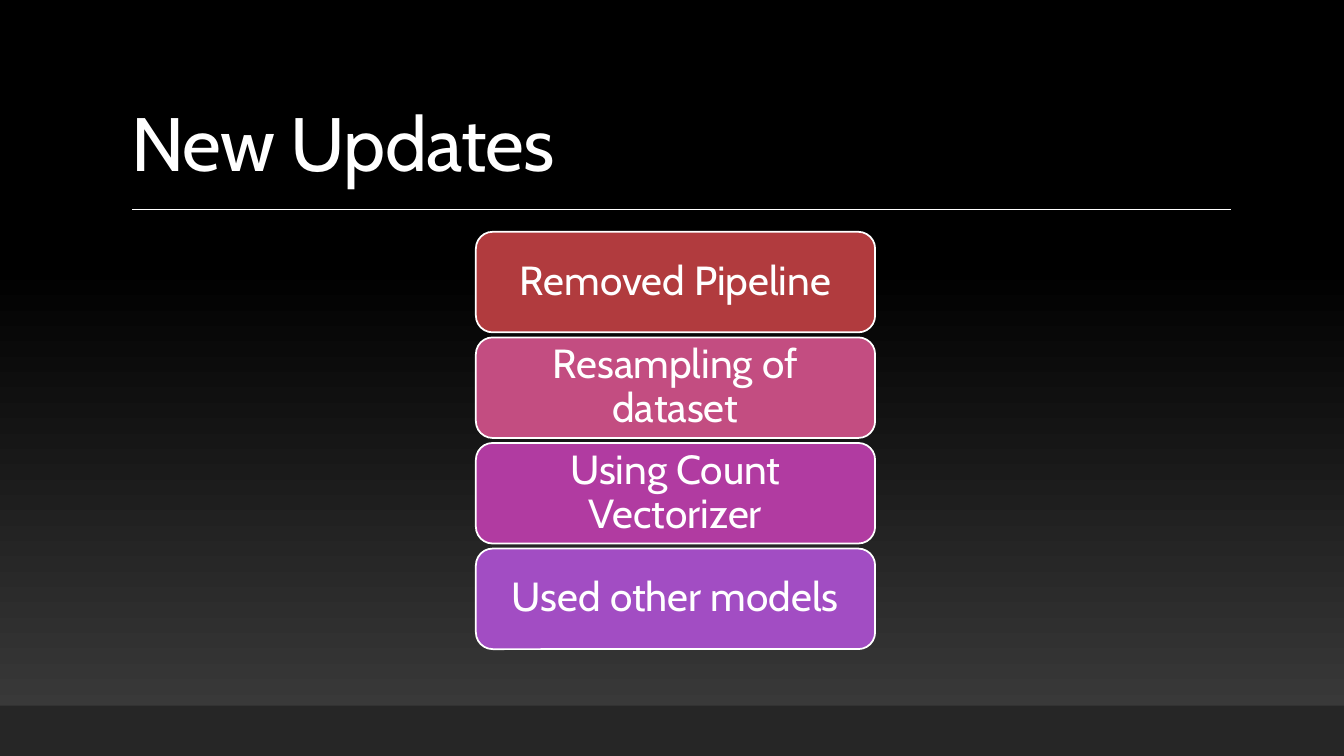
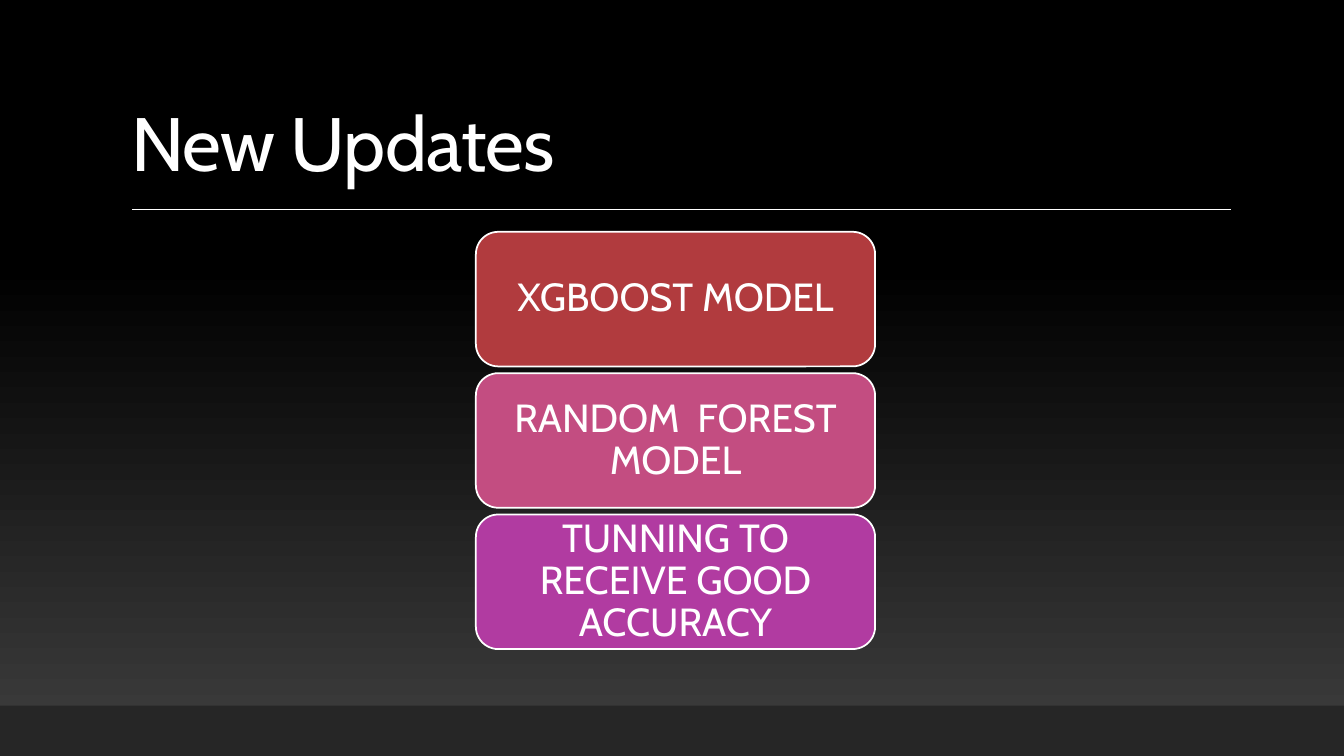
from dataclasses import dataclass

from pptx import Presentation
from pptx.dml.color import RGBColor
from pptx.enum.shapes import MSO_CONNECTOR as Connector, MSO_SHAPE as Preset
from pptx.enum.text import MSO_ANCHOR as Anchor, MSO_AUTO_SIZE as AutoSize, PP_ALIGN as Align
from pptx.oxml.ns import qn
from pptx.presentation import Presentation as Deck
from pptx.slide import Slide
from pptx.text.text import TextFrame
from pptx.util import Inches, Pt
from lxml.etree import SubElement

COLORS = {
    "white": "FFFFFF",
    "black": "000000",
    "glow": "3F3F3F",
    "band": "262626",
    "red": "B13B3E",
    "pink": "C34D81",
    "magenta": "B13BA1",
    "purple": "A24DC3",
}
CARD_COLORS = ["red", "pink", "magenta", "purple"]
FONT = "Cabin"
WIDTH, HEIGHT = 13.33, 7.5
BAND_HEIGHT = 0.5
TITLE_ONLY = 5

# The card stack fills a fixed area; each gap is a share of a card's height
STACK_LEFT, STACK_TOP = 4.72, 2.3
STACK_WIDTH, STACK_HEIGHT = 3.96, 4.14
GAP_SHARE = 0.05


@dataclass(frozen=True)
class UpdatePage:
    title: str
    cards: list[str]
    text_size: int


PAGES = [
    UpdatePage(
        "New Updates",
        ["Removed Pipeline", "Resampling of dataset", "Using Count Vectorizer", "Used other models"],
        29,
    ),
    UpdatePage(
        "New Updates",
        ["XGBOOST MODEL", "RANDOM  FOREST MODEL", "TUNNING TO RECEIVE GOOD ACCURACY"],
        28,
    ),
]


def color(name: str) -> RGBColor:
    return RGBColor.from_string(COLORS[name])


def write(frame: TextFrame, text: str, size: int, align: Align, spacing: float) -> None:
    frame.text = text
    frame.word_wrap = True
    frame.auto_size = AutoSize.NONE
    para = frame.paragraphs[0]
    para.alignment = align
    para.line_spacing = spacing
    font = para.runs[0].font
    font.name = FONT
    font.size = Pt(size)
    font.color.rgb = color("white")


def set_background(deck: Deck) -> None:
    fill = deck.slide_master.background.fill
    fill.gradient()
    fill.gradient_angle = 90
    for stop, (position, name) in zip(fill.gradient_stops, [(0, "glow"), (0.65, "black")]):
        stop.position = position
        stop.color.rgb = color(name)


def add_frame(page: Slide, title: str) -> None:
    # Title
    box = page.shapes.title
    box.left, box.top = Inches(1.2), Inches(0.31)
    box.width, box.height = Inches(11), Inches(1.59)
    write(box.text_frame, title, 54, Align.LEFT, 0.8)
    box.text_frame.vertical_anchor = Anchor.BOTTOM
    span = box.text_frame.paragraphs[0].runs[0]
    span.font._element.set("spc", "-50")

    # Rule under the title
    rule = page.shapes.add_connector(
        Connector.STRAIGHT, Inches(1.31), Inches(2.08), Inches(12.21), Inches(2.08)
    )
    rule.line.color.rgb = color("white")
    rule.line.width = Pt(1)
    SubElement(rule._element.spPr, qn("a:effectLst"))

    # Bottom band
    band = page.shapes.add_shape(
        Preset.RECTANGLE, 0, Inches(HEIGHT - BAND_HEIGHT), Inches(WIDTH), Inches(BAND_HEIGHT)
    )
    band.shadow.inherit = False
    band.fill.solid()
    band.fill.fore_color.rgb = color("band")
    band.line.fill.background()


def add_cards(page: Slide, texts: list[str], size: int) -> None:
    count = len(texts)
    height = STACK_HEIGHT / (count + GAP_SHARE * (count - 1))
    pitch = height * (1 + GAP_SHARE)
    for index, (text, fill_name) in enumerate(zip(texts, CARD_COLORS)):
        card = page.shapes.add_shape(
            Preset.ROUNDED_RECTANGLE,
            Inches(STACK_LEFT),
            Inches(STACK_TOP + index * pitch),
            Inches(STACK_WIDTH),
            Inches(height),
        )
        card.shadow.inherit = False
        card.fill.solid()
        card.fill.fore_color.rgb = color(fill_name)
        card.line.color.rgb = color("white")
        card.line.width = Pt(1.25)
        frame = card.text_frame
        write(frame, text, size, Align.CENTER, 0.9)
        frame.vertical_anchor = Anchor.MIDDLE
        frame.margin_left = frame.margin_right = Inches(0.12)
        frame.margin_top = frame.margin_bottom = Inches(0.06)


def main() -> None:
    deck = Presentation()
    deck.slide_width, deck.slide_height = Inches(WIDTH), Inches(HEIGHT)
    set_background(deck)
    for update in PAGES:
        page = deck.slides.add_slide(deck.slide_layouts[TITLE_ONLY])
        add_frame(page, update.title)
        add_cards(page, update.cards, update.text_size)
    deck.save("out.pptx")


if __name__ == "__main__":
    main()
